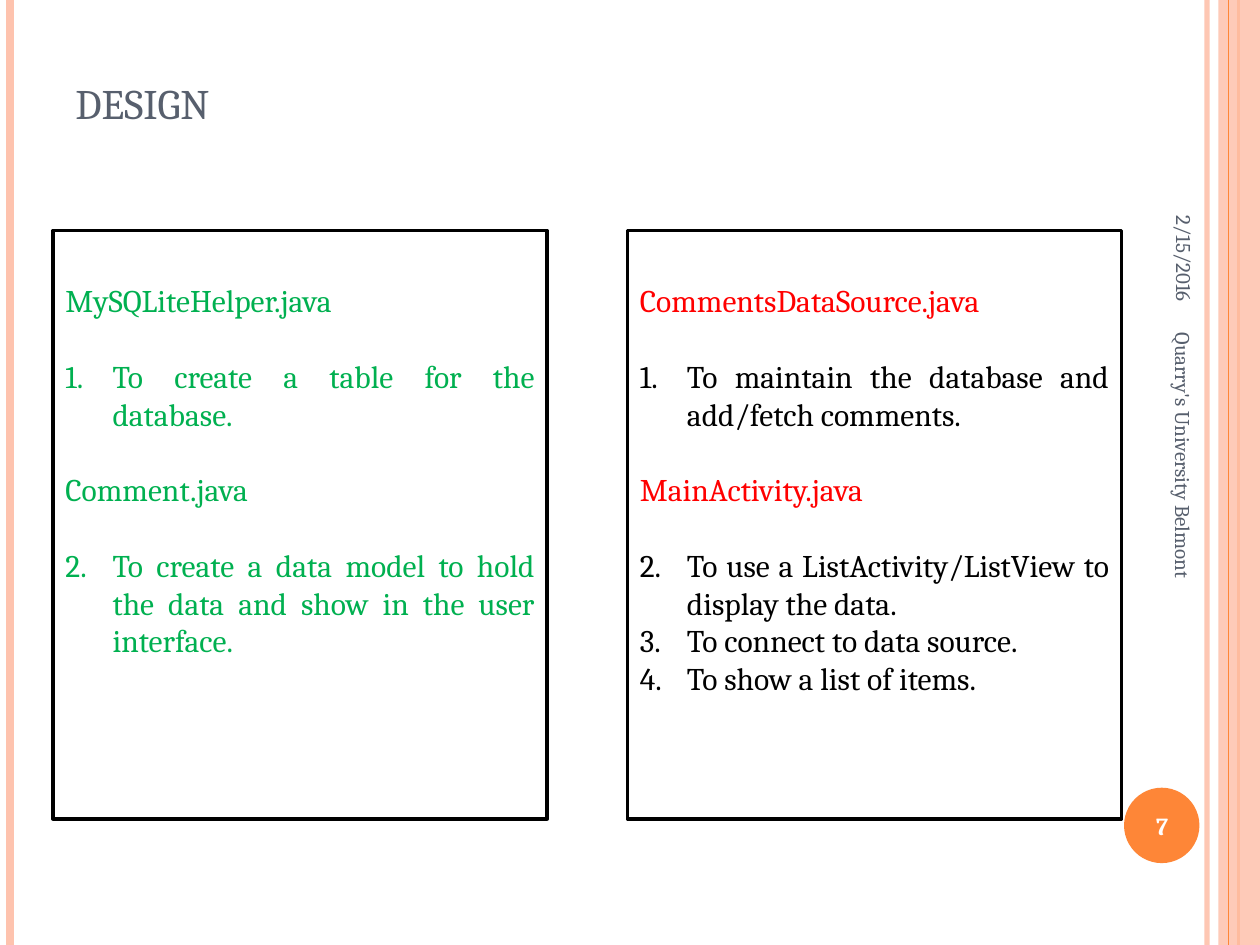
from lxml.etree import SubElement as Sub
from pptx import Presentation
from pptx.dml.color import RGBColor
from pptx.enum.shapes import MSO_CONNECTOR as Conn, MSO_SHAPE as Kind
from pptx.enum.text import MSO_ANCHOR as Anchor, PP_ALIGN as Align
from pptx.oxml.ns import qn
from pptx.util import Cm, Pt

WIDE, HIGH = 25.4, 19.05
PEACH, ORANGE, SLATE = "FEC3AE", "FE8637", "575F6D"
GREEN, RED, BLACK, WHITE = "00B050", "FF0000", "000000", "FFFFFF"


def paint(fill, hue, alpha=100):
    """Make a fill solid, with opacity in percent."""
    fill.solid()
    fill.fore_color.rgb = RGBColor.from_string(hue)
    if alpha < 100:
        for node in fill._xPr.iter(qn("a:srgbClr")):
            Sub(node, qn("a:alpha"), val=str(alpha * 1000))


class Deck:
    font = "Cambria"
    size = 18
    gap = Pt(21.6)    # one line of body text
    hang = Cm(0.95)

    def __init__(self):
        self.prs = Presentation()
        self.prs.slide_width, self.prs.slide_height = Cm(WIDE), Cm(HIGH)
        self.slide = self.prs.slides.add_slide(self.prs.slide_layouts[6])
        self.items = self.slide.shapes

    def rail(self, x, hue, width, alpha=100):
        line = self.items.add_connector(
            Conn.STRAIGHT, Cm(x), Cm(0), Cm(x), Cm(HIGH))
        line.line.width = Pt(width)
        paint(line.line.fill, hue, alpha)
        Sub(line._element.spPr, qn("a:effectLst"))

    def shape(self, kind, box, hue=None, alpha=100):
        item = self.items.add_shape(kind, *map(Cm, box))
        item.shadow.inherit = False
        if hue:
            paint(item.fill, hue, alpha)
        else:
            item.fill.background()
        item.line.fill.background()
        return item

    def run(self, para, text, hue, size=None, bold=False):
        run = para.add_run()
        run.text = text
        run.font.name = self.font
        run.font.size = Pt(size or self.size)
        run.font.bold = bold
        paint(run.font.fill, hue)
        return run

    def text(self, box, text, hue, size, align=Align.LEFT,
             anchor=Anchor.MIDDLE, turn=0, bold=False):
        item = self.items.add_textbox(*map(Cm, box))
        item.rotation = turn
        frame = item.text_frame
        frame.word_wrap = True
        frame.vertical_anchor = anchor
        para = frame.paragraphs[0]
        para.alignment = align
        return self.run(para, text, hue, size, bold)

    def number(self, para, start):
        props = para._p.get_or_add_pPr()
        props.set("marL", str(self.hang))
        props.set("indent", str(-self.hang))
        Sub(props, qn("a:buFont"), typeface="+mj-lt")
        Sub(props, qn("a:buAutoNum"), type="arabicPeriod", startAt=str(start))

    def panel(self, x, head, body, parts):
        """Draw a frame of headed lists, numbered on from part to part."""
        item = self.shape(Kind.RECTANGLE, (x, 4.65, 9.96, 11.86))
        paint(item.line.fill, BLACK)
        item.line.width = Pt(2)
        frame = item.text_frame
        frame.word_wrap = True
        frame.vertical_anchor = Anchor.TOP
        frame.margin_top = Cm(1.02)
        para, count = frame.paragraphs[0], 1
        for i, (title, points) in enumerate(parts):
            if i:
                para = frame.add_paragraph()
                para.space_before = self.gap
            para.space_after = self.gap
            para.alignment = Align.JUSTIFY
            self.run(para, title, head)
            for point in points:
                para = frame.add_paragraph()
                para.alignment = Align.JUSTIFY
                self.number(para, count)
                self.run(para, point, body)
            count += len(points)


def main():
    deck = Deck()

    # Side rails and page badge
    deck.rail(24.33, PEACH, 3, 93)
    deck.rail(0.2, PEACH, 4.5)
    deck.rail(24.97, ORANGE, 1.5)
    deck.shape(Kind.RECTANGLE, (24.56, 0, 0.84, HIGH), PEACH, 87)
    deck.rail(24.77, ORANGE, 0.75)
    deck.shape(Kind.OVAL, (22.66, 15.88, 1.52, 1.52), ORANGE)

    # Title
    title = deck.text((1.27, 0.76, 20.75, 1.98), "design", SLATE, 30,
                      anchor=Anchor.BOTTOM)
    title.font._element.set("cap", "small")

    # Date, footer and page number
    deck.text((21.08, 3, 5.59, 1.07), "2/15/2016", SLATE, 12,
              Align.RIGHT, turn=90)
    deck.text((19.41, 10.39, 8.89, 1.02), "Quarry's University Belmont",
              SLATE, 12, turn=90)
    deck.text((22.58, 15.93, 1.7, 1.45), "7", WHITE, 14,
              Align.CENTER, bold=True)

    # Class panels
    deck.panel(1.07, GREEN, GREEN, [
        ("MySQLiteHelper.java", ["To create a table for the database."]),
        ("Comment.java", ["To create a data model to hold the data and "
                          "show in the user interface."]),
    ])
    deck.panel(12.65, RED, BLACK, [
        ("CommentsDataSource.java",
         ["To maintain the database and add/fetch comments."]),
        ("MainActivity.java",
         ["To use a ListActivity/ListView to display the data.",
          "To connect to data source.",
          "To show a list of items."]),
    ])

    deck.prs.save("out.pptx")


if __name__ == "__main__":
    main()
